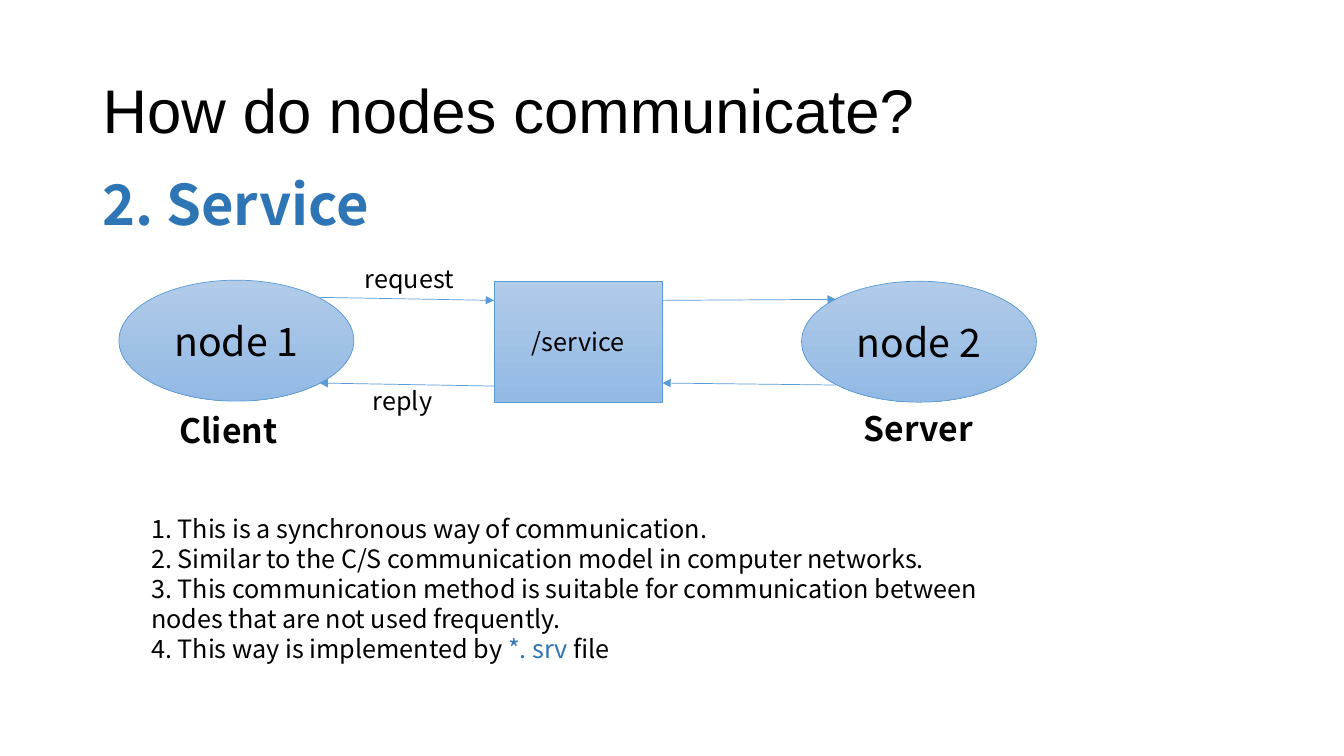
from dataclasses import dataclass

from lxml.etree import SubElement
from pptx import Presentation
from pptx.dml.color import RGBColor
from pptx.enum.shapes import MSO_CONNECTOR as Connector, MSO_SHAPE as Shape
from pptx.enum.text import MSO_ANCHOR as Anchor, PP_ALIGN as Align
from pptx.oxml.ns import qn
from pptx.util import Pt

PX = 9144


@dataclass(frozen=True)
class Theme:
    title_font: str = "Arial"
    font: str = "Noto Sans CJK SC"
    ink: str = "000000"
    accent: str = "2E75B6"
    line: str = "5B9BD5"
    gradient: tuple = ("B1CBE9", "93B9E4")
    line_width: float = 0.5
    title: int = 44
    heading: int = 40
    node: int = 28
    role: int = 24
    body: int = 18


THEME = Theme()


def px(*lengths):
    return [length * PX for length in lengths]


def write(frame, paragraphs, size=THEME.body, font=THEME.font, color=THEME.ink,
          bold=False, align=Align.LEFT, anchor=Anchor.TOP, spacing=None):
    frame.word_wrap = True
    frame.vertical_anchor = anchor
    for index, pieces in enumerate(paragraphs):
        paragraph = frame.paragraphs[0] if index == 0 else frame.add_paragraph()
        paragraph.alignment = align
        if spacing:
            paragraph.line_spacing = spacing
        for piece in pieces:
            text, piece_color = piece if isinstance(piece, tuple) else (piece, color)
            run = paragraph.add_run()
            run.text = text
            run.font.size = Pt(size)
            run.font.name = font
            run.font.bold = bold
            run.font.color.rgb = RGBColor.from_string(piece_color)


class SlideBuilder:
    def __init__(self, presentation, theme):
        self.theme = theme
        self.slide = presentation.slides.add_slide(presentation.slide_layouts[6])

    def text(self, box, *paragraphs, **style):
        shape = self.slide.shapes.add_textbox(*px(*box))
        write(shape.text_frame, paragraphs, **style)

    def node(self, kind, box, label, size):
        shape = self.slide.shapes.add_shape(kind, *px(*box))
        shape.shadow.inherit = False
        shape.fill.gradient()
        shape.fill.gradient_angle = 270
        for stop, color, position in zip(shape.fill.gradient_stops, self.theme.gradient, (0, 1)):
            stop.color.rgb = RGBColor.from_string(color)
            stop.position = position
        self.outline(shape)
        write(shape.text_frame, [[label]], size=size, align=Align.CENTER, anchor=Anchor.MIDDLE)

    def arrow(self, *ends):
        connector = self.slide.shapes.add_connector(Connector.STRAIGHT, *px(*ends))
        self.outline(connector)
        SubElement(connector.line._get_or_add_ln(), qn("a:tailEnd"), type="triangle")
        SubElement(connector._element.spPr, qn("a:effectLst"))

    def outline(self, shape):
        shape.line.color.rgb = RGBColor.from_string(self.theme.line)
        shape.line.width = Pt(self.theme.line_width)


def main():
    presentation = Presentation()
    presentation.slide_width, presentation.slide_height = px(1333, 750)
    builder = SlideBuilder(presentation, THEME)

    builder.text((92, 40, 1150, 145), ["How do nodes communicate?"], size=THEME.title,
                 font=THEME.title_font, anchor=Anchor.MIDDLE, spacing=0.9)
    builder.text((92, 166, 1150, 82), ["2. Service"], size=THEME.heading,
                 color=THEME.accent, bold=True, spacing=Pt(46))

    builder.node(Shape.OVAL, (118, 278, 233, 120), "node 1", THEME.node)
    builder.node(Shape.OVAL, (795, 279, 233, 120), "node 2", THEME.node)
    builder.node(Shape.RECTANGLE, (490, 279, 167, 120), "/service", THEME.body)

    for ends in ((317, 295, 490, 298), (490, 383, 317, 380),
                 (657, 298, 829, 297), (829, 382, 657, 380)):
        builder.arrow(*ends)

    for label, box in (("request", (352, 256, 167, 40)), ("reply", (360, 377, 159, 40))):
        builder.text(box, [label], spacing=Pt(22))
    for label, box in (("Client", (168, 401, 191, 50)), ("Server", (847, 399, 130, 50))):
        builder.text(box, [label], size=THEME.role, bold=True, spacing=Pt(29))

    builder.text(
        (140, 504, 888, 162),
        ["1. This is a synchronous way of communication."],
        ["2. Similar to the C/S communication model in computer networks."],
        ["3. This communication method is suitable for communication between "
         "nodes that are not used frequently."],
        ["4. This way is implemented by ", ("*. srv ", THEME.accent), "file"],
        spacing=Pt(21.5))

    presentation.save("out.pptx")


if __name__ == "__main__":
    main()
